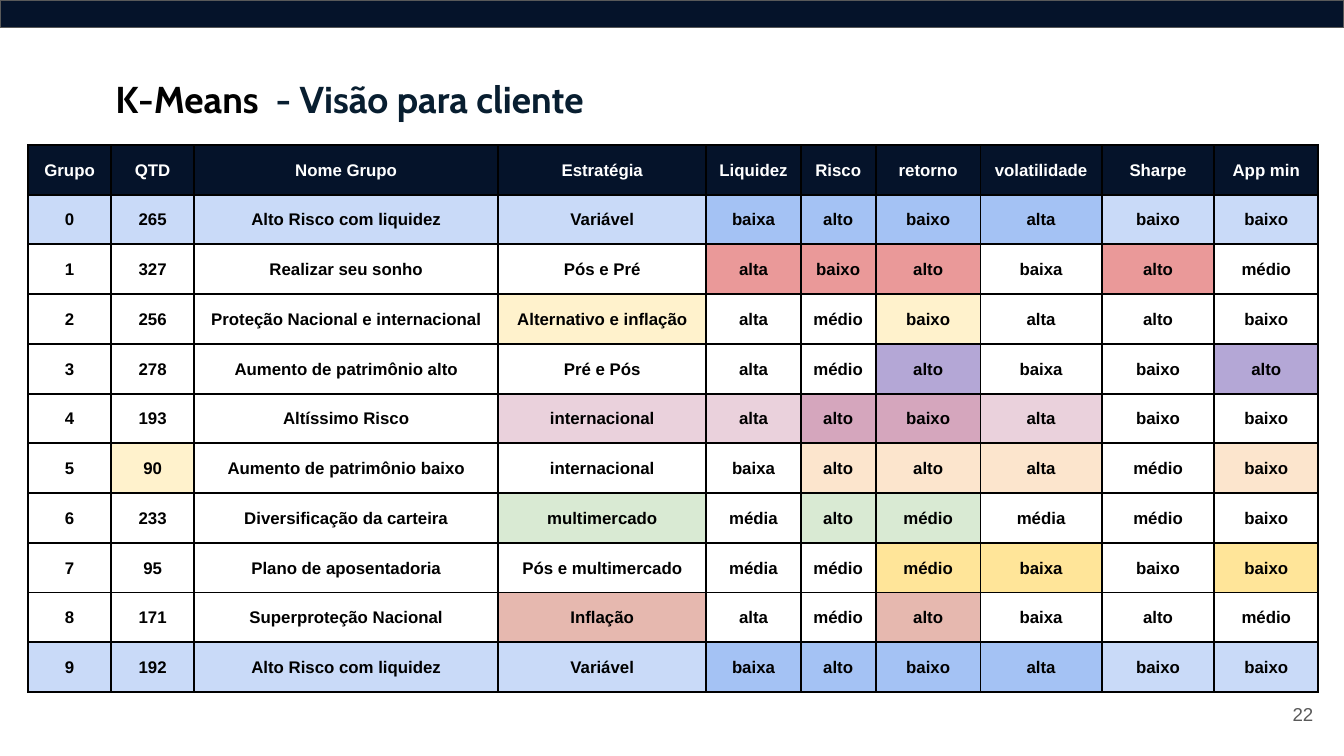
from lxml.etree import SubElement
from pptx import Presentation
from pptx.dml.color import RGBColor
from pptx.enum.shapes import MSO_SHAPE
from pptx.enum.text import MSO_ANCHOR, MSO_AUTO_SIZE, PP_ALIGN
from pptx.oxml.ns import qn
from pptx.util import Cm, Pt

NAVY, BLACK, WHITE, GRAY = "05132A", "000000", "FFFFFF", "595959"

FILLS = {
    "n": NAVY, ".": WHITE, "b": "C9DAF8", "B": "A4C2F4", "r": "EA9999",
    "y": "FFF2CC", "Y": "FFE599", "v": "B4A7D6", "p": "EAD1DC",
    "P": "D5A6BD", "o": "FCE5CD", "g": "D9EAD3", "s": "E6B8AF",
}

# Each row: one fill key per cell, then the cell texts.
GROUPS = [
    ("nnnnnnnnnn", "Grupo|QTD|Nome Grupo|Estratégia|Liquidez|Risco|retorno|volatilidade|Sharpe|App min"),
    ("bbbbBBBBbb", "0|265|Alto Risco com liquidez|Variável|baixa|alto|baixo|alta|baixo|baixo"),
    ("....rrr.r.", "1|327|Realizar seu sonho|Pós e Pré|alta|baixo|alto|baixa|alto|médio"),
    ("...y..y...", "2|256|Proteção Nacional e internacional|Alternativo e inflação|alta|médio|baixo|alta|alto|baixo"),
    ("......v..v", "3|278|Aumento de patrimônio alto|Pré e Pós|alta|médio|alto|baixa|baixo|alto"),
    ("...ppPPp..", "4|193|Altíssimo Risco|internacional|alta|alto|baixo|alta|baixo|baixo"),
    (".y...ooo.o", "5|90|Aumento de patrimônio baixo|internacional|baixa|alto|alto|alta|médio|baixo"),
    ("...g.gg...", "6|233|Diversificação da carteira|multimercado|média|alto|médio|média|médio|baixo"),
    ("......YY.Y", "7|95|Plano de aposentadoria|Pós e multimercado|média|médio|médio|baixa|baixo|baixo"),
    ("...s..s...", "8|171|Superproteção Nacional|Inflação|alta|médio|alto|baixa|alto|médio"),
    ("bbbbBBBBbb", "9|192|Alto Risco com liquidez|Variável|baixa|alto|baixo|alta|baixo|baixo"),
]
COLUMN_WIDTHS = [1.57, 1.57, 5.74, 3.94, 1.78, 1.42, 1.98, 2.29, 2.13, 1.96]
ROW_HEIGHT = 0.94


def color(value):
    return RGBColor.from_string(value)


class SlideBuilder:
    body_font, title_font = "Arial", "Cabin"
    inset = Cm(0.25)
    cell_side_inset = Cm(0.18)
    border_width = Pt(1.13)

    def __init__(self, page):
        self.page = page

    def style(self, para, font, size, value, bold=False):
        para.font.name = font
        para.font.size = Pt(size)
        para.font.bold = bold
        para.font.color.rgb = color(value)

    def set_insets(self, frame):
        frame.margin_left = frame.margin_right = self.inset
        frame.margin_top = frame.margin_bottom = self.inset
        frame.word_wrap = True

    def band(self, left, top, width, height):
        box = self.page.shapes.add_shape(
            MSO_SHAPE.RECTANGLE, Cm(left), Cm(top), Cm(width), Cm(height))
        box.shadow.inherit = False
        box.fill.solid()
        box.fill.fore_color.rgb = color(NAVY)
        box.line.color.rgb = color(GRAY)
        box.line.width = Pt(0.75)

    def title(self, left, top, width, height, spans):
        box = self.page.shapes.title
        box.left, box.top, box.width, box.height = map(Cm, (left, top, width, height))
        frame = box.text_frame
        self.set_insets(frame)
        frame.vertical_anchor = MSO_ANCHOR.TOP
        frame.auto_size = MSO_AUTO_SIZE.SHAPE_TO_FIT_TEXT
        para = frame.paragraphs[0]
        para.alignment = PP_ALIGN.LEFT
        self.style(para, self.title_font, 20, BLACK, bold=True)
        for text, value in spans:
            span = para.add_run()
            span.text = text
            span.font.color.rgb = color(value)

    def page_number(self, left, top, width, height, text):
        box = self.page.shapes.add_textbox(Cm(left), Cm(top), Cm(width), Cm(height))
        frame = box.text_frame
        self.set_insets(frame)
        frame.vertical_anchor = MSO_ANCHOR.MIDDLE
        para = frame.paragraphs[0]
        para.text = text
        para.alignment = PP_ALIGN.RIGHT
        self.style(para, self.body_font, 10, GRAY)

    def table(self, left, top, widths, row_height, rows):
        grid = self.page.shapes.add_table(
            len(rows), len(widths), Cm(left), Cm(top),
            Cm(sum(widths)), Cm(row_height * len(rows))).table
        for column, width in zip(grid.columns, widths):
            column.width = Cm(width)
        for row, (keys, texts) in zip(grid.rows, rows):
            row.height = Cm(row_height)
            for cell, key, text in zip(row.cells, keys, texts.split("|")):
                self.cell(cell, text, FILLS[key])

    def cell(self, cell, text, fill):
        cell.margin_left = cell.margin_right = self.cell_side_inset
        cell.margin_top = cell.margin_bottom = self.inset
        self.borders(cell)
        cell.fill.solid()
        cell.fill.fore_color.rgb = color(fill)
        para = cell.text_frame.paragraphs[0]
        para.text = text
        para.alignment = PP_ALIGN.CENTER
        para.line_spacing = 1.15
        para.space_before = Pt(12)
        self.style(para, self.body_font, 9, WHITE if fill == NAVY else BLACK, bold=True)

    def borders(self, cell):
        """Draw all four edges; must run before the cell fill is set."""
        properties = cell._tc.get_or_add_tcPr()
        for edge in ("a:lnL", "a:lnR", "a:lnT", "a:lnB"):
            line = SubElement(properties, qn(edge), w=str(self.border_width))
            solid = SubElement(line, qn("a:solidFill"))
            SubElement(solid, qn("a:srgbClr"), val=BLACK)


def main():
    deck = Presentation()
    deck.slide_width, deck.slide_height = Cm(25.4), Cm(14.29)
    title_only = deck.slide_layouts[5]
    builder = SlideBuilder(deck.slides.add_slide(title_only))
    builder.band(0, 0, 25.4, 0.52)
    builder.page_number(23.55, 12.95, 1.52, 1.09, "22")
    builder.title(1.93, 1.19, 13.34, 1.37,
                  [("K-Means ", BLACK), (" - Visão para cliente", "081E30")])
    builder.table(0.53, 2.74, COLUMN_WIDTHS, ROW_HEIGHT, GROUPS)
    deck.save("out.pptx")


if __name__ == "__main__":
    main()
